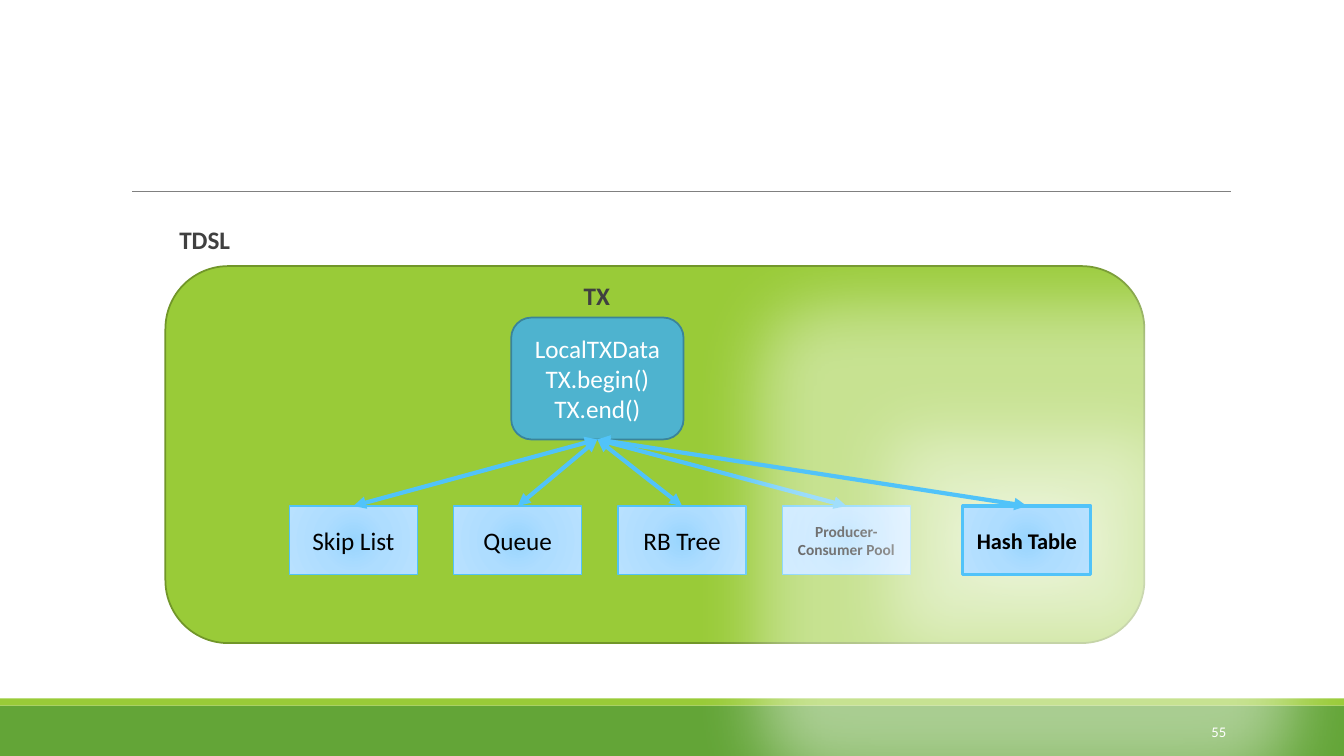
from lxml import etree
from pptx import Presentation
from pptx.dml.color import RGBColor
from pptx.enum.shapes import MSO_CONNECTOR as Connector, MSO_SHAPE as Shape
from pptx.enum.text import MSO_ANCHOR as Anchor, PP_ALIGN as Align
from pptx.oxml import parse_xml
from pptx.oxml.ns import qn
from pptx.util import Inches, Pt

# Content
LABELS = [("TDSL", 1.46, 2.21, 0.93), ("TX", 5.47, 2.77, 0.69)]
TRANSACTION = ["LocalTXData", "TX.begin()", "TX.end()"]
STRUCTURES = [
    ("Skip List", {"size": 18}),
    ("Queue", {"size": 18}),
    ("RB Tree", {"size": 18}),
    ("Producer-Consumer Pool", {"size": 11, "bold": True}),
]
HASH_TABLE = ("Hash Table", {"size": 16, "bold": True})
PAGE_NUMBER = "55"

# Layout in inches
WIDTH, HEIGHT = 13.33, 7.5
FOOTER_TOP, STRIPE = 7, 0.07
LIBRARY = (1.64, 2.64, 9.71, 3.74)
TX_BOX = (5.07, 3.15, 1.71, 1.21)
ROW_LEFT, ROW_TOP, PITCH = 2.87, 5.02, 1.63
BOX_WIDTH, BOX_HEIGHT = 1.27, 0.68
HASH_LEFT = 9.55
HUB = (TX_BOX[0] + TX_BOX[2] / 2, TX_BOX[1] + TX_BOX[3])

GREEN, DARK_GREEN, BLUE = "99CB38", "63A537", "51C3F9"
GRADIENT = [(0, "99D5FE"), (45, "AEDDFF"), (100, "B8E1FF")]
DRAWING = 'xmlns:a="http://schemas.openxmlformats.org/drawingml/2006/main"'

deck = Presentation()
deck.slide_width, deck.slide_height = Inches(WIDTH), Inches(HEIGHT)
page = deck.slides.add_slide(deck.slide_layouts[6])


def color(value):
    return RGBColor.from_string(value)


def write(shape, lines, size=18, tint="000000", bold=False, align=Align.CENTER,
          anchor=Anchor.MIDDLE, wrap=True, **spacing):
    frame = shape.text_frame
    frame.word_wrap, frame.vertical_anchor = wrap, anchor
    for index, line in enumerate(lines):
        para = frame.add_paragraph() if index else frame.paragraphs[0]
        for name, value in {"alignment": align, **spacing}.items():
            setattr(para, name, value)
        span = para.add_run()
        span.text = line
        for name, value in {"name": "Calibri", "size": Pt(size), "bold": bold}.items():
            setattr(span.font, name, value)
        span.font.color.rgb = color(tint)
    return frame


def add_box(kind, place, fill=None, line=None, weight=1.25):
    box = page.shapes.add_shape(kind, *map(Inches, place))
    box.shadow.inherit = False
    if fill:
        box.fill.solid()
        box.fill.fore_color.rgb = color(fill)
    if line:
        box.line.color.rgb, box.line.width = color(line), Pt(weight)
    else:
        box.line.fill.background()
    return box


def add_line(start, end, tint, weight, arrows=False):
    line = page.shapes.add_connector(Connector.STRAIGHT, *map(Inches, start + end))
    line.line.color.rgb, line.line.width = color(tint), Pt(weight)
    if arrows:
        outline = line.line._get_or_add_ln()
        for tag in ("a:headEnd", "a:tailEnd"):
            etree.SubElement(outline, qn(tag), type="triangle")
    etree.SubElement(line._element.spPr, qn("a:effectLst"))


def add_structure(left, name, style, weight=1):
    box = add_box(Shape.RECTANGLE, (left, ROW_TOP, BOX_WIDTH, BOX_HEIGHT), line=BLUE, weight=weight)
    stops = "".join(f'<a:gs pos="{pos * 1000}"><a:srgbClr val="{tint}"/></a:gs>'
                    for pos, tint in GRADIENT)
    edges = " ".join(f'{side}="100000"' for side in "ltrb")
    box._element.spPr.find(qn("a:prstGeom")).addnext(parse_xml(
        f'<a:gradFill {DRAWING} rotWithShape="1"><a:gsLst>{stops}</a:gsLst>'
        f'<a:path path="circle"><a:fillToRect {edges}/></a:path></a:gradFill>'))
    write(box, [name], **style)
    return box


def add_halo(box, tag, **size):
    effects = box._element.spPr.find(qn("a:effectLst"))
    halo = etree.SubElement(effects, qn(tag), {key: str(Inches(value)) for key, value in size.items()})
    white = etree.SubElement(halo, qn("a:srgbClr"), val="FFFFFF")
    etree.SubElement(white, qn("a:alpha"), val="45000")


def add_arrow(left):
    add_line(HUB, (left + BOX_WIDTH / 2, ROW_TOP), BLUE, 3, arrows=True)


# Footer, title rule and page number
add_box(Shape.RECTANGLE, (0, FOOTER_TOP, WIDTH, HEIGHT - FOOTER_TOP), DARK_GREEN)
add_box(Shape.RECTANGLE, (0, FOOTER_TOP - STRIPE, WIDTH, STRIPE), GREEN)
add_line((1.31, 1.9), (12.21, 1.9), "808080", 0.5)
number = page.shapes.add_textbox(*map(Inches, (10.83, 7.06, 1.43, 0.4)))
write(number, [PAGE_NUMBER], size=10.5, tint="FFFFFF", align=Align.RIGHT)

# Library and transaction
add_box(Shape.ROUNDED_RECTANGLE, LIBRARY, GREEN, "719629")
write(add_box(Shape.ROUNDED_RECTANGLE, TX_BOX, "4EB3CF", "3A8499"), TRANSACTION, tint="FFFFFF")
for label, left, top, width in LABELS:
    caption = page.shapes.add_textbox(*map(Inches, (left, top, width, 0.37)))
    frame = write(caption, [label], tint="404040", bold=True, align=Align.LEFT, anchor=Anchor.TOP,
                  wrap=False, line_spacing=0.9, space_before=Pt(2), space_after=Pt(4))
    frame.paragraphs[0]._p.get_or_add_pPr().set("marL", str(Inches(0.22)))

# Data structures and their arrows
columns = [ROW_LEFT + PITCH * index for index in range(len(STRUCTURES))]
for left, (name, style) in zip(columns, STRUCTURES):
    add_structure(left, name, style)
for left in columns:
    add_arrow(left)

# Highlighted hash table
hash_box = add_structure(HASH_LEFT, *HASH_TABLE, weight=2.25)
add_halo(hash_box, "a:glow", rad=1.39)
add_halo(hash_box, "a:outerShdw", blurRad=0.55)
add_arrow(HASH_LEFT)

deck.save("out.pptx")
